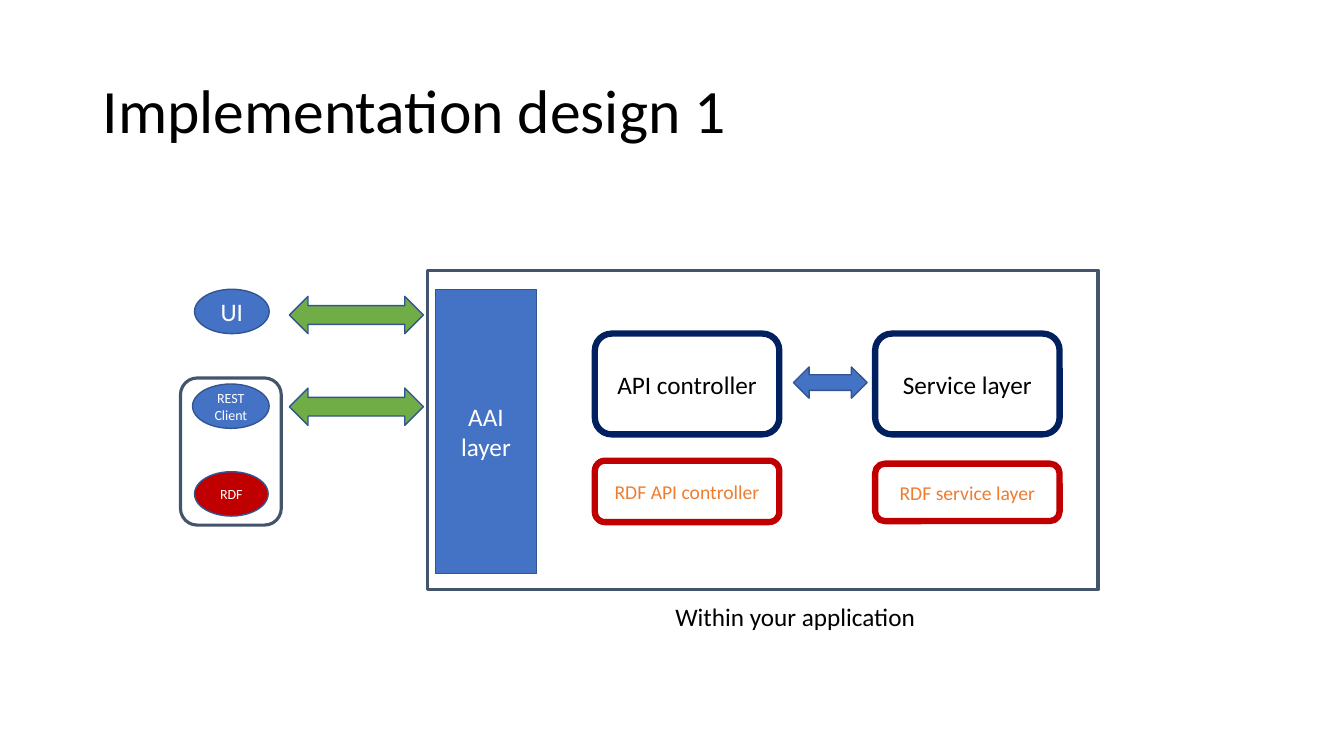
from pptx import Presentation
from pptx.dml.color import RGBColor
from pptx.enum.shapes import MSO_SHAPE
from pptx.enum.text import MSO_ANCHOR, PP_ALIGN
from pptx.util import Inches, Pt

BLACK = RGBColor(0x00, 0x00, 0x00)
WHITE = RGBColor(0xFF, 0xFF, 0xFF)
BLUE = RGBColor(0x44, 0x72, 0xC4)
EDGE_BLUE = RGBColor(0x32, 0x54, 0x91)
NAVY = RGBColor(0x00, 0x20, 0x60)
RED = RGBColor(0xC0, 0x00, 0x00)
GREEN = RGBColor(0x70, 0xAD, 0x47)
ORANGE = RGBColor(0xED, 0x7D, 0x31)
SLATE = RGBColor(0x44, 0x54, 0x6A)


def write(holder, text, size=18, color=BLACK, align=PP_ALIGN.CENTER,
          anchor=MSO_ANCHOR.MIDDLE, spacing=None):
    """Fill the holder's text frame, one paragraph per line of text."""
    frame = holder.text_frame
    frame.word_wrap = True
    frame.vertical_anchor = anchor
    frame.text = text
    for paragraph in frame.paragraphs:
        paragraph.alignment = align
        paragraph.line_spacing = spacing
        font = paragraph.runs[0].font
        font.name = "Calibri"
        font.size = Pt(size)
        font.color.rgb = color


def add_label(slide, box, text, **text_format):
    label = slide.shapes.add_textbox(*map(Inches, box))
    write(label, text, **text_format)


def add_block(slide, kind, box, fill=None, edge=EDGE_BLUE, weight=1,
              text=None, **text_format):
    """Draw a preset shape; without a fill it is only an outline."""
    block = slide.shapes.add_shape(kind, *map(Inches, box))
    block.shadow.inherit = False
    if fill is None:
        block.fill.background()
    else:
        block.fill.solid()
        block.fill.fore_color.rgb = fill
    block.line.color.rgb = edge
    block.line.width = Pt(weight)
    if text:
        write(block, text, **text_format)


def add_clients(slide, left, top):
    """Place the UI, and below it the frame with the REST and RDF clients."""
    clients = [
        ("UI", 0.14, 0, 0.74, BLUE, 18),
        ("REST Client", 0.12, 0.94, 0.76, BLUE, 10),
        ("RDF", 0.14, 1.81, 0.73, RED, 10),
    ]
    for text, dx, dy, width, fill, size in clients:
        add_block(slide, MSO_SHAPE.OVAL, (left + dx, top + dy, width, 0.44),
                  fill, text=text, size=size, color=WHITE)
    add_block(slide, MSO_SHAPE.ROUNDED_RECTANGLE,
              (left, top + 0.88, 1, 1.46), edge=SLATE, weight=2.25)


def add_requests(slide, left, top):
    """Place the arrows between the clients and the application."""
    for row in range(2):
        add_block(slide, MSO_SHAPE.LEFT_RIGHT_ARROW,
                  (left, top + row * 0.91, 1.33, 0.37), GREEN)


def add_application(slide, left, top, width, height):
    """Place the application frame, its layers and its caption."""
    add_block(slide, MSO_SHAPE.RECTANGLE, (left, top, width, height),
              edge=SLATE, weight=2.25)
    add_block(slide, MSO_SHAPE.RECTANGLE,
              (left + 0.08, top + 0.19, 1, height - 0.35), BLUE,
              text="AAI\nlayer", color=WHITE)

    api_dx, service_dx = 1.66, 4.44
    core = dict(edge=NAVY, size=18, color=BLACK)
    rdf = dict(edge=RED, size=14, color=ORANGE)
    layers = [
        ("API controller", api_dx, 0.63, 1, core),
        ("Service layer", service_dx, 0.63, 1, core),
        ("RDF API controller", api_dx, 1.89, 0.61, rdf),
        ("RDF service layer", service_dx, 1.92, 0.57, rdf),
    ]
    for text, dx, dy, layer_height, style in layers:
        add_block(slide, MSO_SHAPE.ROUNDED_RECTANGLE,
                  (left + dx, top + dy, 1.83, layer_height), WHITE,
                  weight=4.5, text=text, **style)

    add_block(slide, MSO_SHAPE.LEFT_RIGHT_ARROW,
              (left + 3.63, top + 0.96, 0.73, 0.31), BLUE)
    add_label(slide, (left + 2.36, top + height + 0.07, 3, 0.4),
              "Within your application", align=PP_ALIGN.LEFT,
              anchor=MSO_ANCHOR.TOP)


def main():
    deck = Presentation()
    deck.slide_width, deck.slide_height = Inches(13.33), Inches(7.5)
    slide = deck.slides.add_slide(deck.slide_layouts[6])
    add_label(slide, (0.92, 0.4, 11.5, 1.45), "Implementation design 1",
              size=44, align=PP_ALIGN.LEFT, spacing=0.9)
    add_clients(slide, 1.79, 2.87)
    add_requests(slide, 2.87, 2.94)
    add_application(slide, 4.24, 2.68, 6.65, 3.17)
    deck.save("out.pptx")


if __name__ == "__main__":
    main()
